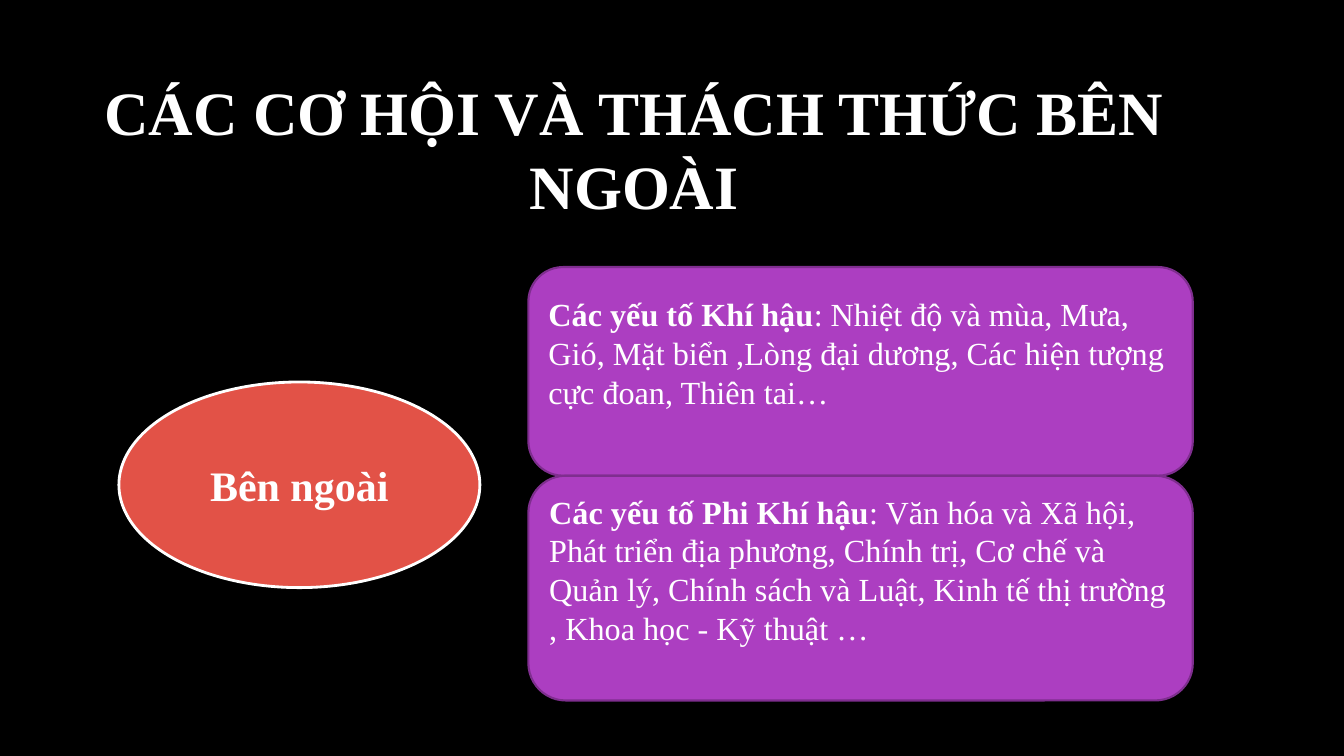
from dataclasses import dataclass

from pptx import Presentation
from pptx.dml.color import RGBColor
from pptx.enum.shapes import MSO_SHAPE
from pptx.enum.text import MSO_ANCHOR, MSO_AUTO_SIZE, PP_ALIGN
from pptx.shapes.autoshape import Shape
from pptx.slide import Slide
from pptx.text.text import TextFrame
from pptx.util import Inches, Pt

ELLIPSE, ROUNDED = MSO_SHAPE.OVAL, MSO_SHAPE.ROUNDED_RECTANGLE
LEFT, CENTER = PP_ALIGN.LEFT, PP_ALIGN.CENTER
MIDDLE, NO_FIT = MSO_ANCHOR.MIDDLE, MSO_AUTO_SIZE.NONE
TITLE_ONLY = 5
WIDTH, HEIGHT = Inches(13.33), Inches(7.5)


@dataclass(frozen=True)
class Theme:
    font: str = "Times New Roman"
    background: str = "000000"
    text: str = "FFFFFF"
    topic: str = "E25247"
    panel: str = "AC3EC1"
    panel_line: str = "7F2E8F"
    title_size: int = 44
    topic_size: int = 30
    panel_size: int = 23


@dataclass(frozen=True)
class Frame:
    """Position and size in percent of the slide."""
    left: float
    top: float
    width: float
    height: float

    def place(self, shape: Shape) -> None:
        shape.left = int(WIDTH * self.left / 100)
        shape.top = int(HEIGHT * self.top / 100)
        shape.width = int(WIDTH * self.width / 100)
        shape.height = int(HEIGHT * self.height / 100)


@dataclass(frozen=True)
class Panel:
    heading: str
    factors: str
    height: float


THEME = Theme()
TITLE_FRAME = Frame(5.63, 8.93, 83.12, 21.2)
TOPIC_FRAME = Frame(8.85, 50.53, 26.86, 27.2)
PANEL_LEFT, PANEL_TOP, PANEL_WIDTH = 39.31, 35.33, 49.44
PANEL_BOTTOM_INSET = Inches(0.42)
PANELS = (
    Panel("Các yếu tố Khí hậu",
          ": Nhiệt độ và mùa, Mưa, Gió, Mặt biển ,Lòng đại dương, "
          "Các hiện tượng cực đoan, Thiên tai…", 27.6),
    Panel("Các yếu tố Phi Khí hậu",
          ": Văn hóa và Xã hội, Phát triển địa phương, Chính trị, "
          "Cơ chế và Quản lý, Chính sách và Luật, Kinh tế thị trường "
          ", Khoa học - Kỹ thuật …", 29.73),
)


def write(box: TextFrame, bold: str, plain: str = "", *, size: int,
          align: PP_ALIGN = CENTER) -> None:
    """Fill a text frame with a bold span and an optional plain one."""
    box.word_wrap = True
    box.auto_size = NO_FIT
    box.vertical_anchor = MIDDLE
    para = box.paragraphs[0]
    para.alignment = align
    for text, is_bold in ((bold, True), (plain, False)):
        if text:
            span = para.add_run()
            span.text = text
            span.font.name = THEME.font
            span.font.size = Pt(size)
            span.font.bold = is_bold
            span.font.color.rgb = RGBColor.from_string(THEME.text)


def add_box(page: Slide, kind: MSO_SHAPE, frame: Frame, *, fill: str,
            line: str, line_width: float) -> Shape:
    """Add a filled, outlined shape without a shadow."""
    shape = page.shapes.add_shape(kind, 0, 0, 0, 0)
    frame.place(shape)
    shape.shadow.inherit = False
    shape.fill.solid()
    shape.fill.fore_color.rgb = RGBColor.from_string(fill)
    shape.line.color.rgb = RGBColor.from_string(line)
    shape.line.width = Pt(line_width)
    return shape


def main() -> None:
    deck = Presentation()
    deck.slide_width, deck.slide_height = WIDTH, HEIGHT
    page = deck.slides.add_slide(deck.slide_layouts[TITLE_ONLY])
    page.background.fill.solid()
    page.background.fill.fore_color.rgb = RGBColor.from_string(THEME.background)

    # Title
    title = page.shapes.title
    TITLE_FRAME.place(title)
    write(title.text_frame, "CÁC CƠ HỘI VÀ THÁCH THỨC BÊN NGOÀI",
          size=THEME.title_size)

    # Topic
    topic = add_box(page, ELLIPSE, TOPIC_FRAME, fill=THEME.topic,
                    line=THEME.text, line_width=2)
    write(topic.text_frame, "Bên ngoài", size=THEME.topic_size)

    # Stacked panels of factors
    top = PANEL_TOP
    for panel in PANELS:
        frame = Frame(PANEL_LEFT, top, PANEL_WIDTH, panel.height)
        box = add_box(page, ROUNDED, frame, fill=THEME.panel,
                      line=THEME.panel_line, line_width=1.5)
        box.text_frame.margin_bottom = PANEL_BOTTOM_INSET
        write(box.text_frame, panel.heading, panel.factors,
              size=THEME.panel_size, align=LEFT)
        top += panel.height

    deck.save("out.pptx")


if __name__ == "__main__":
    main()
